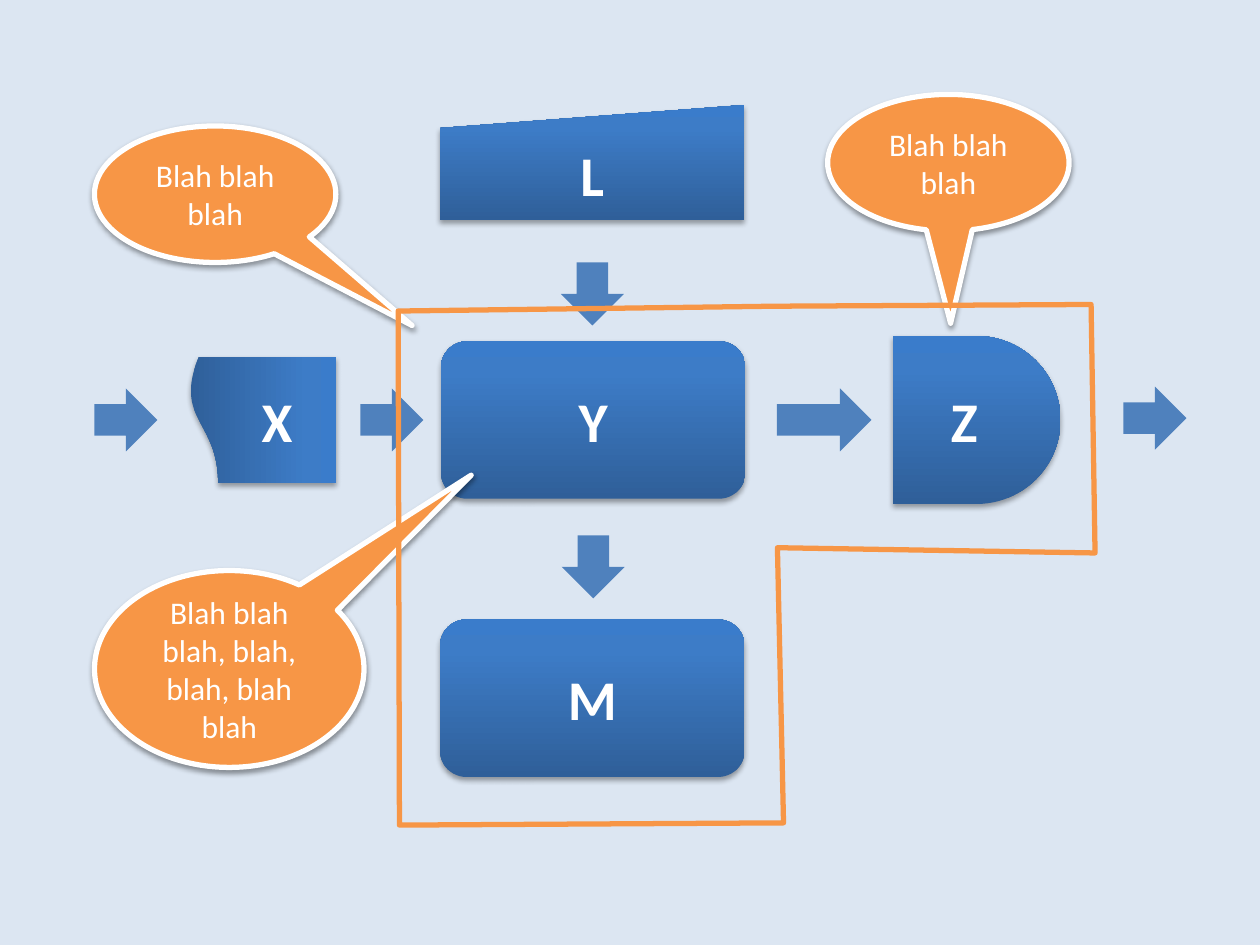
from lxml import etree
from pptx import Presentation
from pptx.dml.color import RGBColor
from pptx.enum.shapes import MSO_SHAPE
from pptx.enum.text import MSO_ANCHOR, PP_ALIGN
from pptx.oxml.ns import qn
from pptx.util import Pt

DELAY = MSO_SHAPE.FLOWCHART_DELAY
PROCESS = MSO_SHAPE.FLOWCHART_ALTERNATE_PROCESS
MANUAL_INPUT = MSO_SHAPE.FLOWCHART_MANUAL_INPUT
DOCUMENT = MSO_SHAPE.FLOWCHART_DOCUMENT
RIGHT_ARROW = MSO_SHAPE.RIGHT_ARROW
CALLOUT = MSO_SHAPE.OVAL_CALLOUT
MIDDLE = MSO_ANCHOR.MIDDLE
CENTER = PP_ALIGN.CENTER

THEME = {
    "font": "Calibri",
    "background": "DCE6F2",
    "text": "FFFFFF",
    "arrow": "4F81BD",
    "accent": "F79646",
    "callout_line": "FFFFFF",
    "gradient": [(0, "2F5F99"), (80, "3D7CC7"), (100, "3A7CCB")],
    "gradient_angle": 270,
    "step_size": 32,
    "callout_size": 18,
    "line_width": 3,
    "step_shadow": (35, 3.1, 1.8),
    "callout_shadow": (38, 3.1, 1.6),
}

STEPS = [
    ("Z", DELAY, (510, 192, 96, 96), 0),
    ("Y", PROCESS, (252, 195, 174, 90), 0),
    ("M", PROCESS, (251.5, 354, 174, 90), 0),
    ("L", MANUAL_INPUT, (251.5, 60, 174, 66), 0),
    ("X", DOCUMENT, (114, 198, 72, 84), 90),
]
ARROWS = [
    ((206, 222, 36, 36), 0),
    ((444, 222, 54, 36), 0),
    ((320.5, 150, 36, 36), 90),
    ((321, 306, 36, 36), 90),
    ((54, 222, 36, 36), 0),
    ((642, 221, 36, 36), 0),
]
CALLOUTS = [
    ("Blah blah blah", (54, 72, 138, 78), (235.5, 186)),
    ("Blah blah blah", (473, 54, 138, 78), (543.25, 184.75)),
    ("Blah blah blah, blah, blah, blah blah", (54, 326, 154, 112.5), (269.25, 271.5)),
]
BOUNDARY = [
    (442, 175), (623.5, 174), (625.75, 316), (444.25, 313),
    (447.75, 470.25), (228.25, 471.5), (227.5, 177.75),
]


def color(name):
    return RGBColor.from_string(THEME[name])


def add_shape(slide, kind, box, rotation=0):
    shape = slide.shapes.add_shape(kind, *map(Pt, box))
    shape.rotation = rotation
    shape.shadow.inherit = False
    shape.line.fill.background()
    return shape


def set_solid(shape, name):
    shape.fill.solid()
    shape.fill.fore_color.rgb = color(name)


def set_line(shape, name):
    shape.line.color.rgb = color(name)
    shape.line.width = Pt(THEME["line_width"])


def set_gradient(shape):
    shape.fill.gradient()
    shape.fill.gradient_angle = 360 - THEME["gradient_angle"]
    stops = shape._element.spPr.find(qn("a:gradFill")).find(qn("a:gsLst"))
    for stop in list(stops):
        stops.remove(stop)
    for position, value in THEME["gradient"]:
        stop = etree.SubElement(stops, qn("a:gs"), pos=str(position * 1000))
        etree.SubElement(stop, qn("a:srgbClr"), val=value)


def set_shadow(shape, name):
    opacity, blur, distance = THEME[name]
    effects = shape._element.spPr.find(qn("a:effectLst"))
    shadow = etree.SubElement(
        effects, qn("a:outerShdw"), blurRad=str(Pt(blur)), dist=str(Pt(distance)),
        dir="5400000", rotWithShape="0")
    shade = etree.SubElement(shadow, qn("a:srgbClr"), val="000000")
    etree.SubElement(shade, qn("a:alpha"), val=str(opacity * 1000))


def set_text(shape, text, size, bold):
    frame = shape.text_frame
    frame.text = text
    frame.word_wrap = True
    frame.vertical_anchor = MIDDLE
    paragraph = frame.paragraphs[0]
    paragraph.alignment = CENTER
    font = paragraph.runs[0].font
    font.name = THEME["font"]
    font.size = Pt(THEME[size])
    font.bold = bold
    font.color.rgb = color("text")


def add_step(slide, text, kind, box, rotation):
    shape = add_shape(slide, kind, box, rotation)
    set_gradient(shape)
    set_shadow(shape, "step_shadow")
    set_text(shape, text, "step_size", True)
    if rotation:
        shape.text_frame._txBody.bodyPr.set("vert", "vert270")


def add_callout(slide, text, box, tip):
    shape = add_shape(slide, CALLOUT, box)
    left, top, width, height = box
    shape.adjustments[0] = (tip[0] - left) / width - 0.5
    shape.adjustments[1] = (tip[1] - top) / height - 0.5
    set_solid(shape, "accent")
    set_line(shape, "callout_line")
    set_shadow(shape, "callout_shadow")
    set_text(shape, text, "callout_size", False)


def add_boundary(slide):
    corners = [(Pt(x), Pt(y)) for x, y in BOUNDARY]
    builder = slide.shapes.build_freeform(*corners[0])
    builder.add_line_segments(corners[1:], close=True)
    shape = builder.convert_to_shape()
    shape.shadow.inherit = False
    shape.fill.background()
    set_line(shape, "accent")


def main():
    presentation = Presentation()
    presentation.slide_width = Pt(720)
    presentation.slide_height = Pt(540)
    slide = presentation.slides.add_slide(presentation.slide_layouts[6])
    slide.background.fill.solid()
    slide.background.fill.fore_color.rgb = color("background")
    for step in STEPS:
        add_step(slide, *step)
    for box, rotation in ARROWS:
        set_solid(add_shape(slide, RIGHT_ARROW, box, rotation), "arrow")
    for callout in CALLOUTS:
        add_callout(slide, *callout)
    add_boundary(slide)
    presentation.save("out.pptx")


if __name__ == "__main__":
    main()
